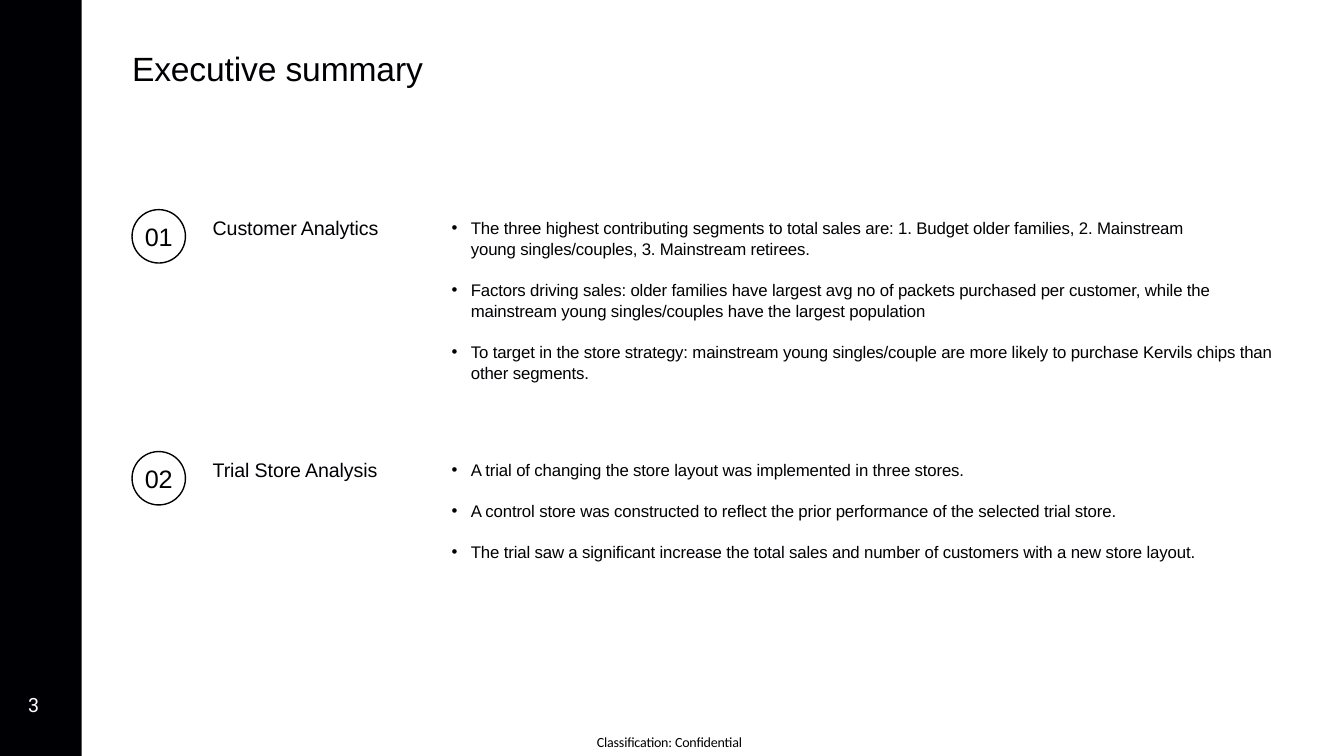
from pptx import Presentation
from pptx import util as u
from pptx.dml.color import RGBColor
from pptx.enum import shapes, text

INK = RGBColor(0x00, 0x00, 0x04)
BLACK = RGBColor(0x00, 0x00, 0x00)
WHITE = RGBColor(0xFF, 0xFF, 0xFF)

SECTIONS = [
    ("01", "Customer Analytics", 8.35, [
        "The three highest contributing segments to total sales are: 1. Budget older families, 2. Mainstream\v"
        "young singles/couples, 3. Mainstream retirees.",
        "Factors driving sales: older families have largest avg no of packets purchased per customer, while the "
        "mainstream young singles/couples have the largest population",
        "To target in the store strategy: mainstream young singles/couple are more likely to purchase "
        "Kervils chips than other segments.",
    ]),
    ("02", "Trial Store Analysis", 7.48, [
        "A trial of changing the store layout was implemented in three stores.",
        "A control store was constructed to reflect the prior performance of the selected trial store.",
        "The trial saw a significant increase the total sales and number of customers with a new store layout.",
    ]),
]
FIRST_SECTION_TOP = 2.08
SECTION_PITCH = 2.4


class SummarySlide:
    font = "Arial"
    tracking = "-10"

    def __init__(self, presentation):
        layout = presentation.slide_layouts.get_by_name("Comparison")
        self.slide = presentation.slides.add_slide(layout)

    def place(self, shape, left, top, width, height):
        shape.left, shape.top = u.Inches(left), u.Inches(top)
        shape.width, shape.height = u.Inches(width), u.Inches(height)

    def set_text(self, shape, lines, size, color=INK, font=None, align=text.PP_ALIGN.LEFT,
                 anchor=text.MSO_ANCHOR.TOP, wrap=False):
        frame = shape.text_frame
        frame.margin_left = frame.margin_right = frame.margin_bottom = 0
        frame.margin_top = u.Inches(0.01)
        frame.word_wrap = wrap
        frame.auto_size = text.MSO_AUTO_SIZE.NONE
        frame.vertical_anchor = anchor
        frame.text = "\n".join(lines)
        for paragraph in frame.paragraphs:
            paragraph.alignment = align
            paragraph.space_before = u.Pt(1)
            paragraph.font.size = u.Pt(size)
            paragraph.font.name = font or self.font
            paragraph.font.bold = False
            paragraph.font.color.rgb = color
            for run in paragraph.runs:
                run._r.get_or_add_rPr().set("spc", self.tracking)
        return frame

    def heading(self, placeholder, label, left, top, width, height, size):
        self.place(placeholder, left, top, width, height)
        self.set_text(placeholder, [label], size)

    def bullets(self, placeholder, lines, left, top, width, height):
        self.place(placeholder, left, top, width, height)
        frame = self.set_text(placeholder, lines, 12, wrap=True)
        for paragraph in frame.paragraphs:
            paragraph.line_spacing = 1.04
            paragraph.space_before = u.Pt(0)
            paragraph.space_after = u.Pt(14.4)
            properties = paragraph._p.get_or_add_pPr()
            properties.set("marL", str(u.Inches(0.2)))
            properties.set("indent", str(u.Inches(-0.19)))

    def label(self, words, left, top, width, height, size, color, font):
        box = self.slide.shapes.add_textbox(
            u.Inches(left), u.Inches(top), u.Inches(width), u.Inches(height))
        frame = self.set_text(box, [words], size, color, font)
        frame.margin_top = 0
        frame.paragraphs[0].space_before = u.Pt(0)

    def shape(self, kind, left, top, width, height):
        shape = self.slide.shapes.add_shape(
            kind, u.Inches(left), u.Inches(top), u.Inches(width), u.Inches(height))
        shape.shadow.inherit = False
        return shape

    def sidebar(self):
        bar = self.shape(shapes.MSO_SHAPE.RECTANGLE, 0, 0, 0.81, 7.5)
        bar.fill.solid()
        bar.fill.fore_color.rgb = INK
        bar.line.fill.background()

    def badge(self, number, left, top):
        circle = self.shape(shapes.MSO_SHAPE.OVAL, left, top, 0.53, 0.53)
        circle.fill.background()
        circle.line.color.rgb = BLACK
        circle.line.width = u.Pt(1)
        self.set_text(circle, [number], 18, BLACK,
                      align=text.PP_ALIGN.CENTER, anchor=text.MSO_ANCHOR.MIDDLE)

    def section(self, index, number, title, width, lines):
        top = FIRST_SECTION_TOP + index * SECTION_PITCH
        title_holder, list_holder = list(self.slide.placeholders)[1 + 2 * index:3 + 2 * index]
        self.badge(number, 1.31, top)
        self.heading(title_holder, title, 2.11, top + 0.05, 1.72, 0.25, 14)
        self.bullets(list_holder, lines, 4.47, top + 0.06, width, 1.62)


def main():
    presentation = Presentation()
    presentation.slide_width = u.Inches(13.33)
    presentation.slide_height = u.Inches(7.5)
    summary = SummarySlide(presentation)
    summary.sidebar()
    summary.heading(summary.slide.shapes.title, "Executive summary", 1.31, 0.47, 2.92, 0.42, 24)
    for index, section in enumerate(SECTIONS):
        summary.section(index, *section)
    summary.label("3", 0.28, 6.87, 0.26, 0.26, 14, WHITE, "Roboto")
    summary.label("Classification: Confidential", 5.92, 7.28, 1.5, 0.17, 10, BLACK, "Calibri")
    presentation.save("out.pptx")


if __name__ == "__main__":
    main()
